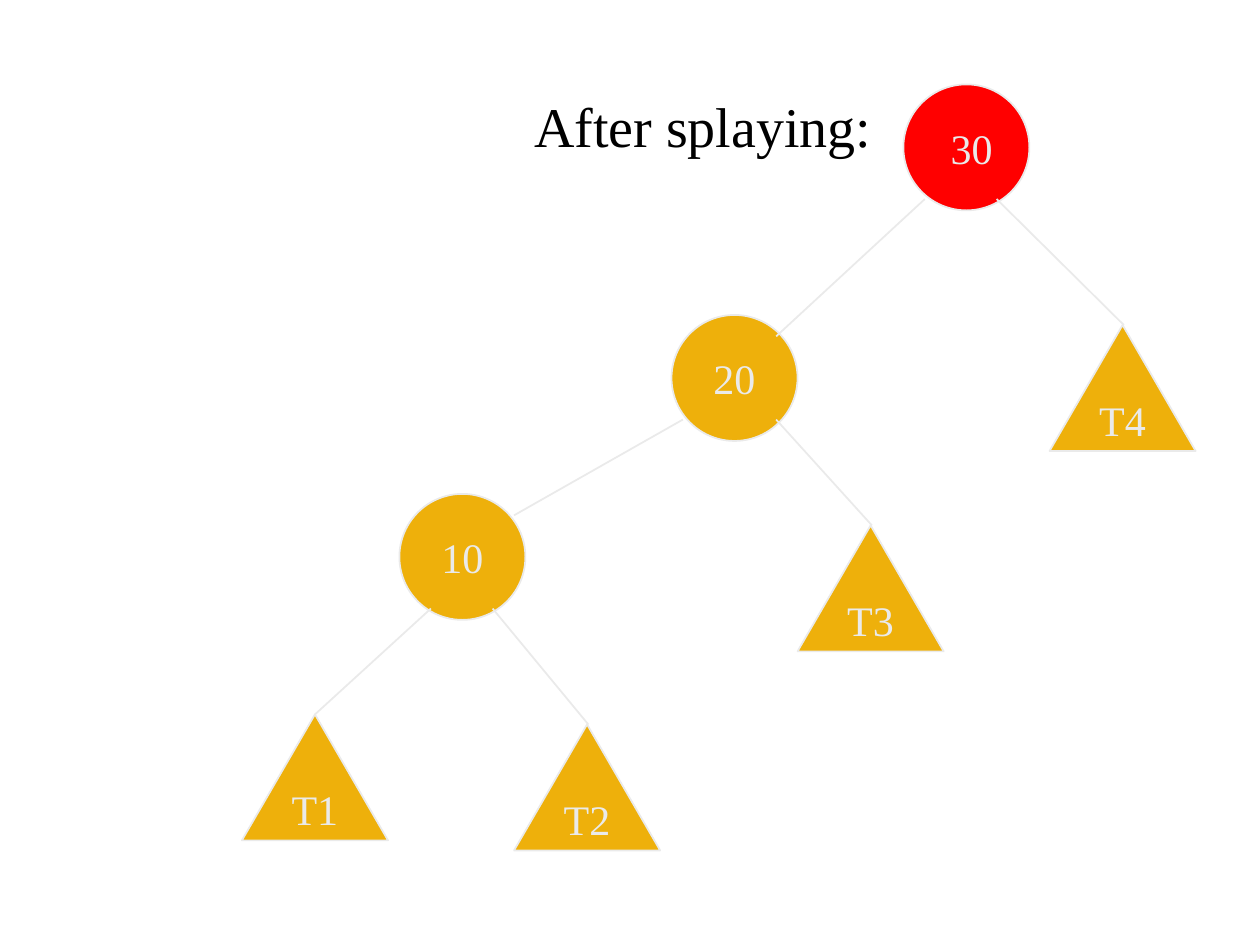
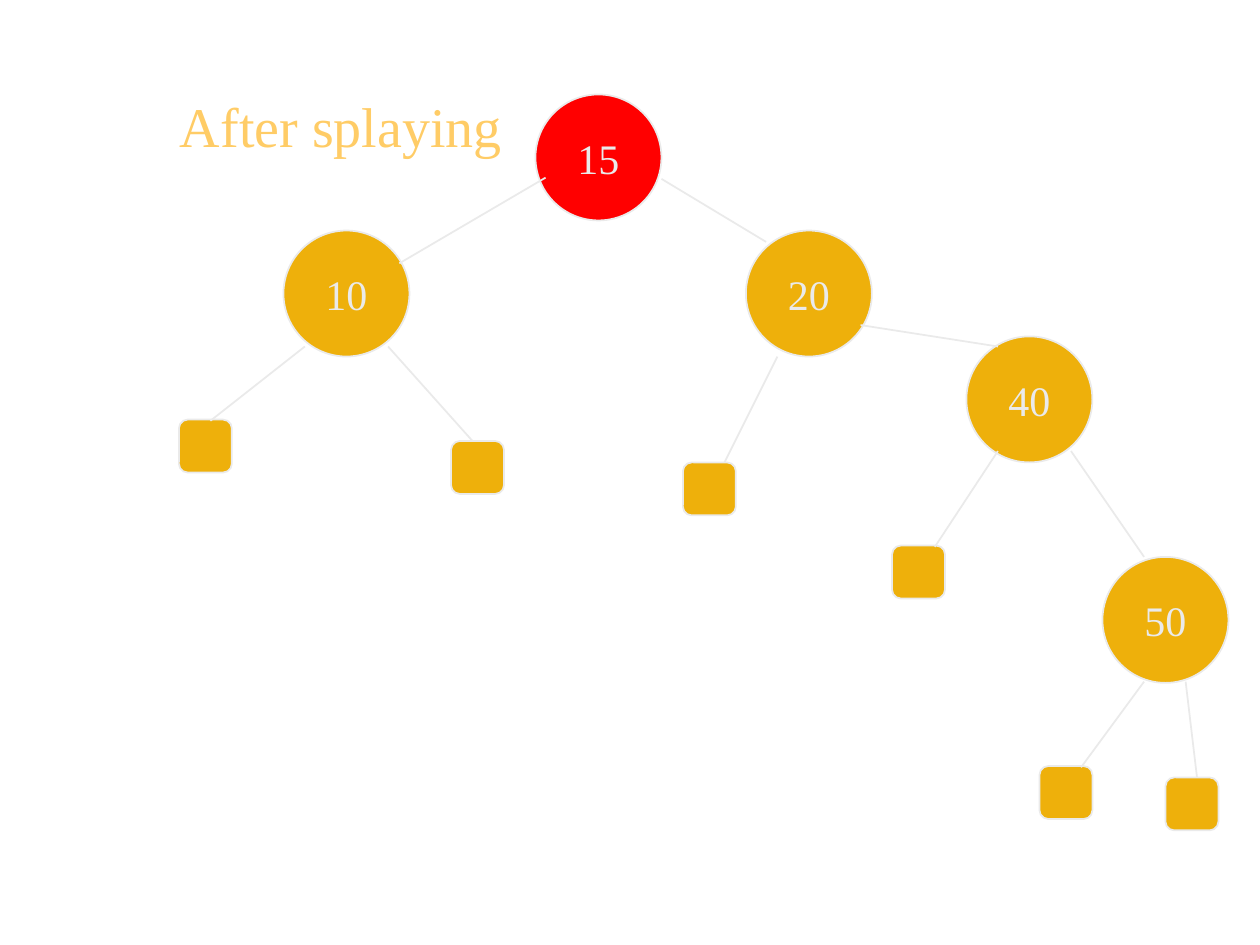
from lxml import etree
from pptx import Presentation
from pptx.dml.color import RGBColor
from pptx.enum import shapes, text
from pptx.oxml.ns import qn
from pptx.util import Inches, Pt

COLORS = {"key": "EEB00B", "splayed": "FF0000", "outline": "EAEAEA",
          "black": "000000", "gold": "FFCC66"}
FONT = "Times New Roman"
HEADING_BOX = (1.33, 0.33, 8.5, 1.32)

KINDS = {
    "key": (shapes.MSO_SHAPE.OVAL, 1, 1),
    "subtree": (shapes.MSO_SHAPE.ISOSCELES_TRIANGLE, 1.16, 1),
    "leaf": (shapes.MSO_SHAPE.ROUNDED_RECTANGLE, 0.42, 0.42),
}

TREES = [
    {
        "heading": ("After splaying:", "black", text.PP_ALIGN.CENTER),
        "root": "30",
        "root_indent": 0.08,
        "key": [("10", 3.17, 3.92), ("20", 5.33, 2.5), ("30", 7.17, 0.67)],
        "subtree": [("T1", 1.92, 5.67), ("T3", 6.33, 4.17),
                    ("T2", 4.08, 5.75), ("T4", 8.33, 2.58)],
        "leaf": [],
        "edges": [
            (7.34, 1.58, 6.16, 2.67), (7.91, 1.58, 8.92, 2.58),
            (5.42, 3.33, 4.08, 4.09), (6.16, 3.33, 6.92, 4.17),
            (3.42, 4.83, 2.5, 5.67), (3.91, 4.83, 4.67, 5.75),
        ],
    },
    {
        "heading": ("After splaying", "gold", text.PP_ALIGN.LEFT),
        "root": "15",
        "root_indent": 0,
        "key": [("20", 5.92, 1.83), ("15", 4.25, 0.75), ("10", 2.25, 1.83),
                ("40", 7.67, 2.67), ("50", 8.75, 4.42)],
        "subtree": [],
        "leaf": [("", 1.42, 3.33), ("", 3.58, 3.5), ("", 5.42, 3.67),
                 ("", 7.08, 4.33), ("", 8.25, 6.08), ("", 9.25, 6.17)],
        "edges": [
            (4.33, 1.41, 3.17, 2.09), (5.25, 1.42, 6.08, 1.92),
            (2.42, 2.75, 1.67, 3.34), (3.08, 2.75, 3.75, 3.5),
            (6.17, 2.83, 5.75, 3.67), (6.83, 2.58, 7.92, 2.75),
            (7.92, 3.58, 7.42, 4.34), (8.5, 3.58, 9.08, 4.42),
            (9.08, 5.41, 8.58, 6.09), (9.41, 5.41, 9.5, 6.17),
        ],
    },
]


def rgb(name):
    return RGBColor.from_string(COLORS[name])


def outline(part):
    part.line.color.rgb = rgb("outline")
    part.line.width = Pt(1)


def write(part, words, size, color, align, wrap):
    frame = part.text_frame
    frame.text = words
    frame.word_wrap = wrap
    frame.vertical_anchor = text.MSO_ANCHOR.MIDDLE
    paragraph = frame.paragraphs[0]
    paragraph.alignment = align
    for run in paragraph.runs:
        run.font.name = FONT
        run.font.size = Pt(size)
        run.font.color.rgb = rgb(color)


def add_heading(slide, words, color, align):
    heading = slide.shapes.add_textbox(*map(Inches, HEADING_BOX))
    write(heading, words, 32, color, align, True)


def add_node(slide, kind, label, left, top, is_root, indent):
    preset, width, height = KINDS[kind]
    node = slide.shapes.add_shape(preset, *map(Inches, (left, top, width, height)))
    node.shadow.inherit = False
    node.fill.solid()
    node.fill.fore_color.rgb = rgb("splayed" if is_root else "key")
    outline(node)
    if label:
        write(node, label, 24, "outline", text.PP_ALIGN.CENTER, False)
    if is_root:
        node.text_frame.margin_left = Inches(0.1 + indent)


def add_edge(slide, points):
    edge = slide.shapes.add_connector(shapes.MSO_CONNECTOR.STRAIGHT,
                                      *map(Inches, points))
    outline(edge)
    etree.SubElement(edge._element.spPr, qn("a:effectLst"))


def add_tree(deck, tree):
    slide = deck.slides.add_slide(deck.slide_layouts[6])
    add_heading(slide, *tree["heading"])
    for kind in KINDS:
        for label, left, top in tree[kind]:
            add_node(slide, kind, label, left, top,
                     label == tree["root"], tree["root_indent"])
    for points in tree["edges"]:
        add_edge(slide, points)


def main():
    deck = Presentation()
    deck.slide_width, deck.slide_height = Inches(10), Inches(7.5)
    for tree in TREES:
        add_tree(deck, tree)
    deck.save("out.pptx")


if __name__ == "__main__":
    main()
